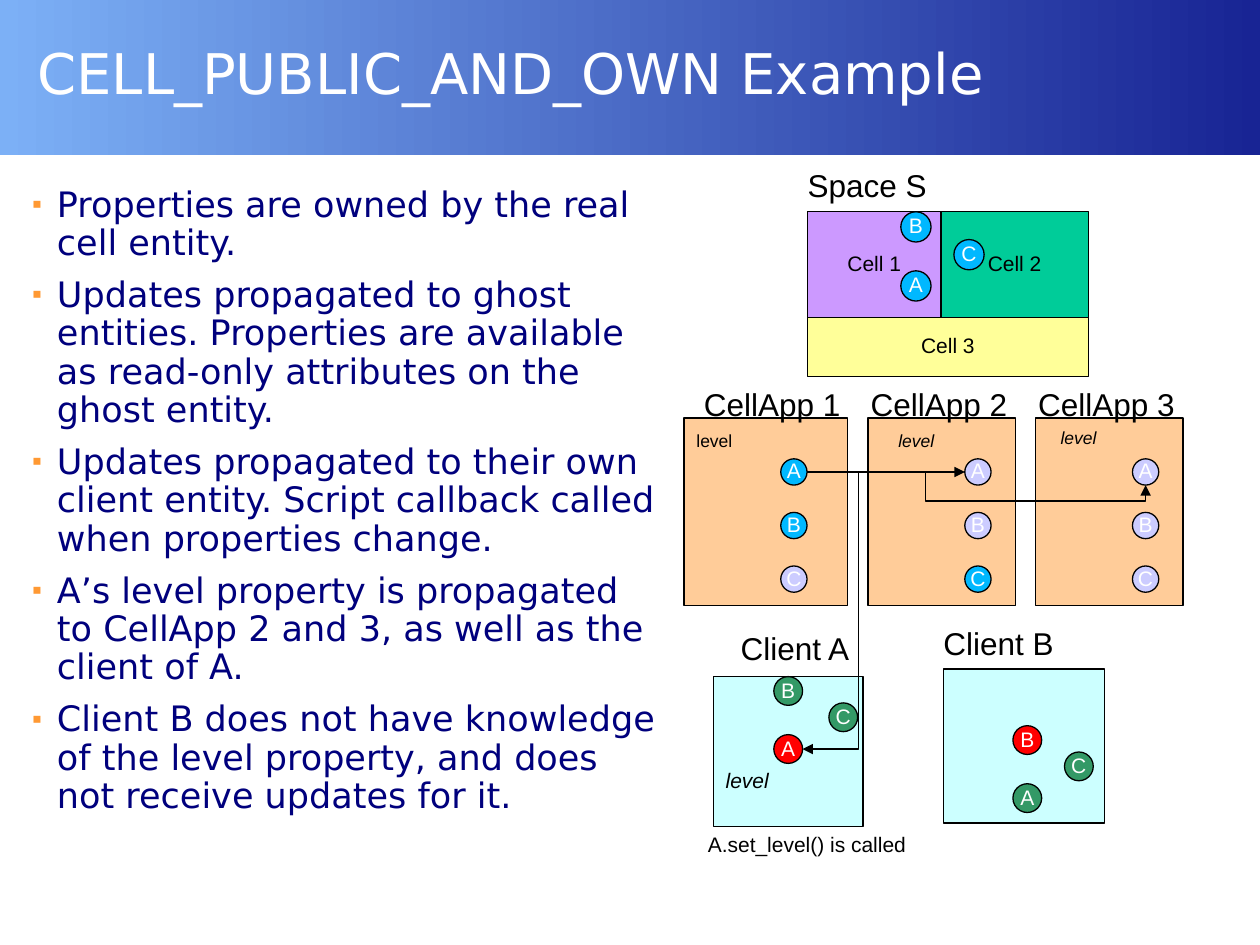
from lxml.etree import SubElement
from pptx import Presentation
from pptx.dml.color import RGBColor
from pptx.enum.shapes import MSO_CONNECTOR as Link, MSO_SHAPE as Kind
from pptx.enum.text import MSO_ANCHOR as Anchor, MSO_AUTO_SIZE as Fit, PP_ALIGN as Align
from pptx.oxml.ns import qn
from pptx.util import Cm, Pt

BLACK = RGBColor(0x00, 0x00, 0x00)
WHITE = RGBColor(0xFF, 0xFF, 0xFF)
NAVY = RGBColor(0x00, 0x00, 0x7D)
SKY = RGBColor(0x7C, 0xB0, 0xF6)
DEEP = RGBColor(0x18, 0x24, 0x94)
PURPLE = RGBColor(0xCC, 0x99, 0xFF)
TEAL = RGBColor(0x00, 0xCC, 0x99)
YELLOW = RGBColor(0xFF, 0xFF, 0x99)
PEACH = RGBColor(0xFF, 0xCC, 0x99)
AQUA = RGBColor(0xCC, 0xFF, 0xFF)
REAL = RGBColor(0x00, 0xB8, 0xFF)
GHOST = RGBColor(0xCC, 0xCC, 0xFF)
OWN = RGBColor(0xFF, 0x00, 0x00)
OTHER = RGBColor(0x33, 0x99, 0x66)

POINTS = [
    "Properties are owned by the real cell entity.",
    "Updates propagated to ghost entities. Properties are available "
    "as read-only attributes on the ghost entity.",
    "Updates propagated to their own client entity. Script callback "
    "called when properties change.",
    "A’s level property is propagated to CellApp 2 and 3, as well as the client of A.",
    "Client B does not have knowledge of the level property, and does "
    "not receive updates for it.",
]

# Connection sites of an ellipse, counted from the top
LEFT, BOTTOM, RIGHT = 2, 4, 6


def place(shape, left, top, width, height):
    shape.left, shape.top = Cm(left), Cm(top)
    shape.width, shape.height = Cm(width), Cm(height)


def write(para, text, size, color, font="Arial", italic=False):
    run = para.add_run()
    run.text = text
    run.font.name, run.font.size = font, Pt(size)
    run.font.color.rgb = color
    run.font.italic = italic


def add_title(slide, text):
    band = slide.shapes.add_shape(Kind.RECTANGLE, 0, 0, Cm(25.4), Cm(3.12))
    band.shadow.inherit = False
    band.line.fill.background()
    band.fill.gradient()
    band.fill.gradient_angle = 0
    for stop, color in zip(band.fill.gradient_stops, (SKY, DEEP)):
        stop.color.rgb = color
    slide.shapes._spTree.insert(2, band._element)

    title = slide.shapes.title
    place(title, 0.5, 0, 24.3, 2.92)
    frame = title.text_frame
    frame.auto_size = Fit.NONE
    frame.vertical_anchor = Anchor.MIDDLE
    frame.margin_top = Cm(0.1)
    para = frame.paragraphs[0]
    para.alignment = Align.LEFT
    para.line_spacing = 1.01
    write(para, text, 32, WHITE, "DejaVu Sans")


def add_bullet(para):
    props = para._p.get_or_add_pPr()
    props.set("marL", str(Cm(0.5)))
    props.set("indent", str(-Cm(0.5)))
    color = SubElement(props, qn("a:buClr"))
    SubElement(color, qn("a:srgbClr"), val="FF9933")
    SubElement(props, qn("a:buSzPct"), val="80000")
    SubElement(props, qn("a:buFont"), typeface="Arial")
    SubElement(props, qn("a:buChar"), char="▪")


def add_list(slide, points):
    box = slide.shapes.add_textbox(Cm(0.5), Cm(3.73), Cm(12.95), Cm(14))
    frame = box.text_frame
    frame.word_wrap = True
    frame.margin_left, frame.margin_right = Cm(0.15), Cm(0.1)
    frame.margin_top = Cm(0.03)
    for i, text in enumerate(points):
        para = frame.add_paragraph() if i else frame.paragraphs[0]
        add_bullet(para)
        para.line_spacing = 0.91
        para.space_before = Pt(8 if i else 0)
        write(para, text, 20, NAVY, "DejaVu Sans")


def add_label(slide, text, left, top, width, height, size=18, italic=False):
    box = slide.shapes.add_textbox(Cm(left), Cm(top), Cm(width), Cm(height))
    frame = box.text_frame
    frame.word_wrap = True
    frame.auto_size = Fit.NONE
    frame.margin_right = 0  # room to spare, so that the text stays on one line
    para = frame.paragraphs[0]
    para.line_spacing = 0.93
    write(para, text, size, BLACK, italic=italic)


def add_block(slide, color, left, top, width, height, text="",
              kind=Kind.RECTANGLE, ink=BLACK):
    block = slide.shapes.add_shape(kind, Cm(left), Cm(top), Cm(width), Cm(height))
    block.shadow.inherit = False
    block.fill.solid()
    block.fill.fore_color.rgb = color
    block.line.color.rgb = BLACK
    block.line.width = Pt(0.75)
    if text:
        frame = block.text_frame
        frame.word_wrap = False
        frame.vertical_anchor = Anchor.MIDDLE
        para = frame.paragraphs[0]
        para.alignment = Align.CENTER
        para.line_spacing = 0.93
        write(para, text, 12, ink)
    return block


def add_dot(slide, name, color, left, top, size):
    return add_block(slide, color, left, top, size, size, name, Kind.OVAL, WHITE)


def site(dot, side):
    x = {LEFT: 0, BOTTOM: dot.width // 2, RIGHT: dot.width}[side]
    y = dot.height if side == BOTTOM else dot.height // 2
    return dot.left + x, dot.top + y


def add_arrow(slide, start, end, side, preset="line", bends=()):
    """Join the right of one dot to a side of another; bends are shares of the span."""
    style = Link.ELBOW if bends else Link.STRAIGHT
    arrow = slide.shapes.add_connector(style, *site(start, RIGHT), *site(end, side))
    arrow.line.color.rgb = BLACK
    arrow.line.width = Pt(0.75)
    props = arrow._element.spPr
    SubElement(arrow.line._get_or_add_ln(), qn("a:tailEnd"), type="triangle")
    SubElement(props, qn("a:effectLst"))
    shape = props.find(qn("a:prstGeom"))
    shape.set("prst", preset)
    guides = shape.find(qn("a:avLst"))
    for i, bend in enumerate(bends, 1):
        SubElement(guides, qn("a:gd"), name=f"adj{i}", fmla=f"val {round(bend * 100000)}")
    joints = arrow._element.find(qn("p:nvCxnSpPr")).find(qn("p:cNvCxnSpPr"))
    for tag, dot, idx in (("a:stCxn", start, RIGHT), ("a:endCxn", end, side)):
        SubElement(joints, qn(tag), id=str(dot.shape_id), idx=str(idx))


def add_space(slide):
    add_label(slide, "Space S", 16.03, 3.3, 2.9, 0.97)
    add_block(slide, PURPLE, 16.28, 4.27, 2.69, 2.13, "Cell 1")
    add_block(slide, TEAL, 18.97, 4.27, 2.97, 2.13, "Cell 2")
    add_block(slide, YELLOW, 16.28, 6.4, 5.66, 1.19, "Cell 3")
    for name, left, top in (("A", 18.16, 5.46), ("C", 19.23, 4.83), ("B", 18.16, 4.27)):
        add_dot(slide, name, REAL, left, top, 0.61)


def add_app(slide, title, left, width, label, real):
    """Draw a cell app, its real entities and its ghosts; return the dot of A."""
    add_block(slide, PEACH, left, 8.43, width, 3.78)
    add_label(slide, title, label, 7.7, 3.25, 0.97)
    dots = [add_dot(slide, name, REAL if name in real else GHOST,
                    left + 1.95, 9.25 + 1.08 * i, 0.53)
            for i, name in enumerate("ABC")]
    return dots[0]


def add_client(slide, owner, area, label, dots):
    """Draw a client and its entities; return the dot of its owner."""
    add_block(slide, AQUA, *area)
    add_label(slide, f"Client {owner}", *label, 2.72, 0.97)
    made = {name: add_dot(slide, name, OWN if name == owner else OTHER, left, top, 0.58)
            for name, left, top in dots}
    return made[owner]


def main():
    deck = Presentation()
    deck.slide_width, deck.slide_height = Cm(25.4), Cm(19.05)
    slide = deck.slides.add_slide(deck.slide_layouts[5])
    add_title(slide, "CELL_PUBLIC_AND_OWN Example")
    add_list(slide, POINTS)
    add_space(slide)

    first = add_app(slide, "CellApp 1", 13.79, 3.3, 13.94, "AB")
    second = add_app(slide, "CellApp 2", 17.5, 2.97, 17.3, "C")
    third = add_app(slide, "CellApp 3", 20.88, 2.97, 20.68, "")
    client = add_client(slide, "A", (14.38, 13.64, 3.02, 3.02), (14.68, 12.62),
                        (("A", 15.6, 14.81), ("C", 16.71, 14.17), ("B", 15.6, 13.64)))
    add_client(slide, "B", (19.02, 13.49, 3.25, 3.1), (18.77, 12.52),
               (("A", 20.42, 15.8), ("C", 21.46, 15.16), ("B", 20.42, 14.63)))

    for left, top, italic in ((13.79, 8.59, False), (17.86, 8.59, True), (21.13, 8.53, True)):
        add_label(slide, "level", left, top, 1.22, 0.66, 10, italic)
    add_label(slide, "level", 14.38, 15.39, 1.37, 0.74, 12, True)
    add_label(slide, "A.set_level() is called", 14.02, 16.69, 4.5, 0.74, 12)

    add_arrow(slide, first, second, LEFT)
    add_arrow(slide, first, third, BOTTOM, "bentConnector4", (0.35, 2.2))
    add_arrow(slide, first, client, RIGHT, "bentConnector3", (-11.5,))
    deck.save("out.pptx")


if __name__ == "__main__":
    main()
